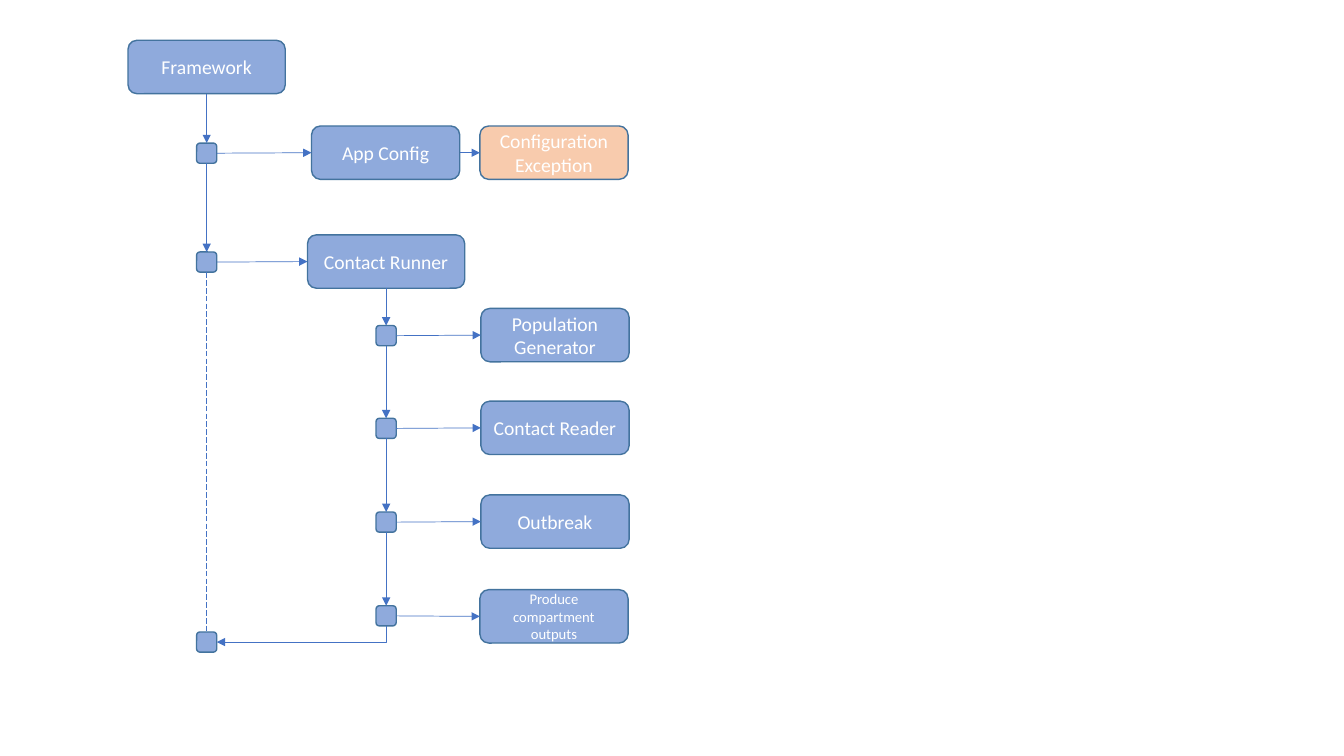
import pptx
import pptx.util
import pptx.dml.color
import pptx.enum.dml
import pptx.enum.shapes
import pptx.enum.text
import lxml.etree
from pptx.oxml.ns import qn

PX = 9144
BLUE, ORANGE, OUTLINE, ARROW = "8FAADC", "F8CBAD", "43739E", "4472C4"
TOP, LEFT, BOTTOM, RIGHT = range(4)
NODE = 20


def rgb(value):
    return pptx.dml.color.RGBColor.from_string(value)


def set_text(sp, text, size=14, color="FFFFFF", font="Calibri"):
    tf = sp.text_frame
    tf.word_wrap = True
    tf.vertical_anchor = pptx.enum.text.MSO_ANCHOR.MIDDLE
    for i, line in enumerate(text.split("\n")):
        p = tf.paragraphs[0] if i == 0 else tf.add_paragraph()
        p.alignment = pptx.enum.text.PP_ALIGN.CENTER
        r = p.add_run()
        r.text = line
        r.font.size = pptx.util.Pt(size)
        r.font.name = font
        r.font.color.rgb = rgb(color)


prs = pptx.Presentation()
prs.slide_width, prs.slide_height = 1333 * PX, 750 * PX
s = prs.slides.add_slide(prs.slide_layouts[6])

boxes = [
    ("framework", "Framework", 127, 40, 156, 53, BLUE, 14),
    ("config", "App Config", 309, 125, 147, 53, BLUE, 14),
    ("exception", "Configuration\nException", 476, 125, 147, 53, ORANGE, 14),
    ("runner", "Contact Runner", 305, 233, 156, 53, BLUE, 14),
    ("population", "Population\nGenerator", 477, 306, 147, 53, BLUE, 14),
    ("reader", "Contact Reader", 477, 398, 147, 53, BLUE, 14),
    ("outbreak", "Outbreak", 477, 491, 147, 53, BLUE, 14),
    ("outputs", "Produce compartment outputs", 476, 585, 147, 53, BLUE, 10.5),
]
for column, x, tops in [("main", 195, (142, 250, 627)), ("run", 373, (323, 415, 508, 601))]:
    for i, y in enumerate(tops, 1):
        boxes.append((f"{column}{i}", "", x, y, NODE, NODE, BLUE, 14))

shapes = {}
for key, text, x, y, w, h, fill, size in boxes:
    sp = s.shapes.add_shape(
        pptx.enum.shapes.MSO_SHAPE.ROUNDED_RECTANGLE, x * PX, y * PX, w * PX, h * PX)
    sp.shadow.inherit = False
    sp.fill.solid()
    sp.fill.fore_color.rgb = rgb(fill)
    sp.line.color.rgb = rgb(OUTLINE)
    sp.line.width = pptx.util.Pt(1)
    if text:
        set_text(sp, text, size=size)
    shapes[key] = sp

connectors = []
chains = [("framework", "main1", "main2", "main3"), ("runner", "run1", "run2", "run3", "run4")]
links = [(a, BOTTOM, b, TOP) for chain in chains for a, b in zip(chain, chain[1:])]
links += [(a, RIGHT, b, LEFT) for a, b in [
    ("main1", "config"), ("config", "exception"), ("main2", "runner"),
    ("run1", "population"), ("run2", "reader"), ("run3", "outbreak"), ("run4", "outputs")]]
for start, start_side, end, end_side in links:
    c = s.shapes.add_connector(pptx.enum.shapes.MSO_CONNECTOR.STRAIGHT, 0, 0, 0, 0)
    c.begin_connect(shapes[start], start_side)
    c.end_connect(shapes[end], end_side)
    connectors.append((c, end == "main3"))

back = s.shapes.add_connector(
    pptx.enum.shapes.MSO_CONNECTOR.ELBOW, 291 * PX, 545 * PX, 307 * PX, 713 * PX)
back._element.spPr.find(qn("a:prstGeom")).set("prst", "bentConnector2")
back._element.spPr.find(qn("a:xfrm")).set("rot", "5400000")
connectors.append((back, False))

for c, dashed in connectors:
    c.line.color.rgb = rgb(ARROW)
    c.line.width = pptx.util.Pt(0.5)
    if dashed:
        c.line.dash_style = pptx.enum.dml.MSO_LINE.LONG_DASH
    else:
        ln = c._element.spPr.find(qn("a:ln"))
        lxml.etree.SubElement(ln, qn("a:tailEnd"), type="triangle")
    lxml.etree.SubElement(c._element.spPr, qn("a:effectLst"))

prs.save("out.pptx")
